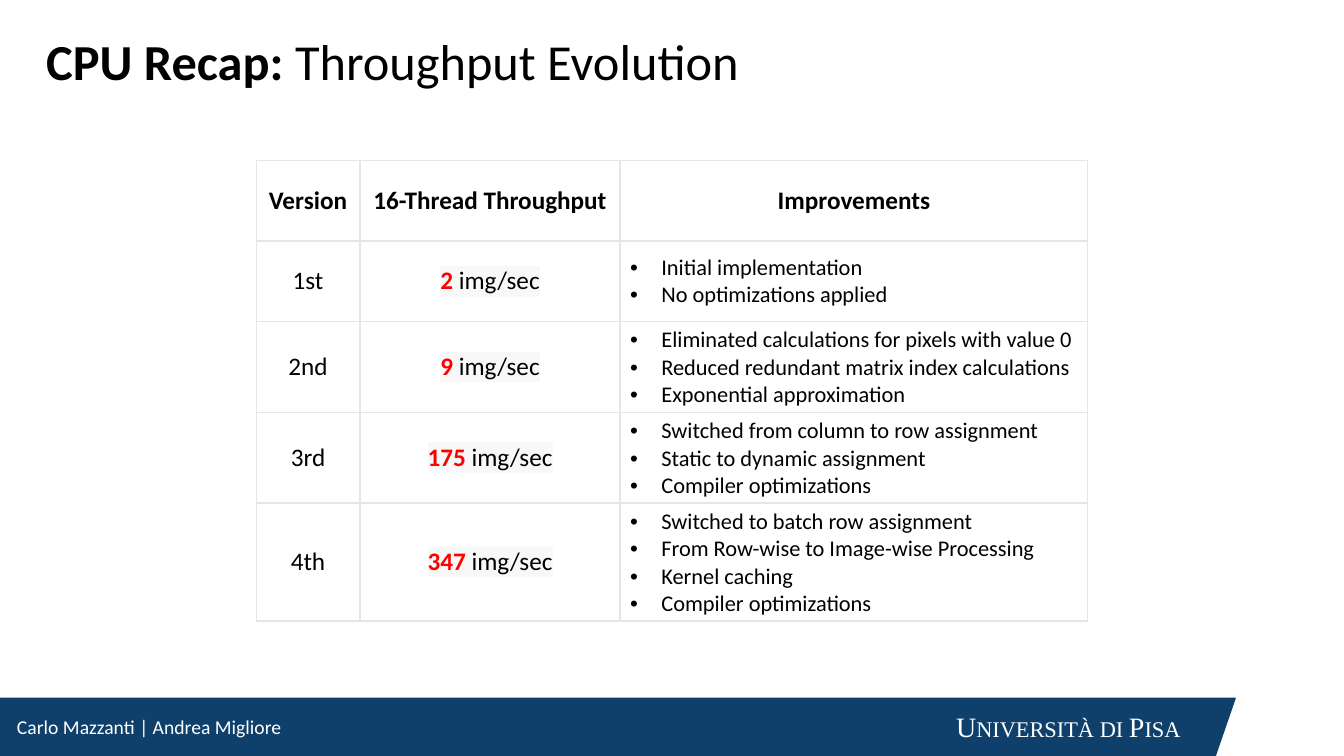
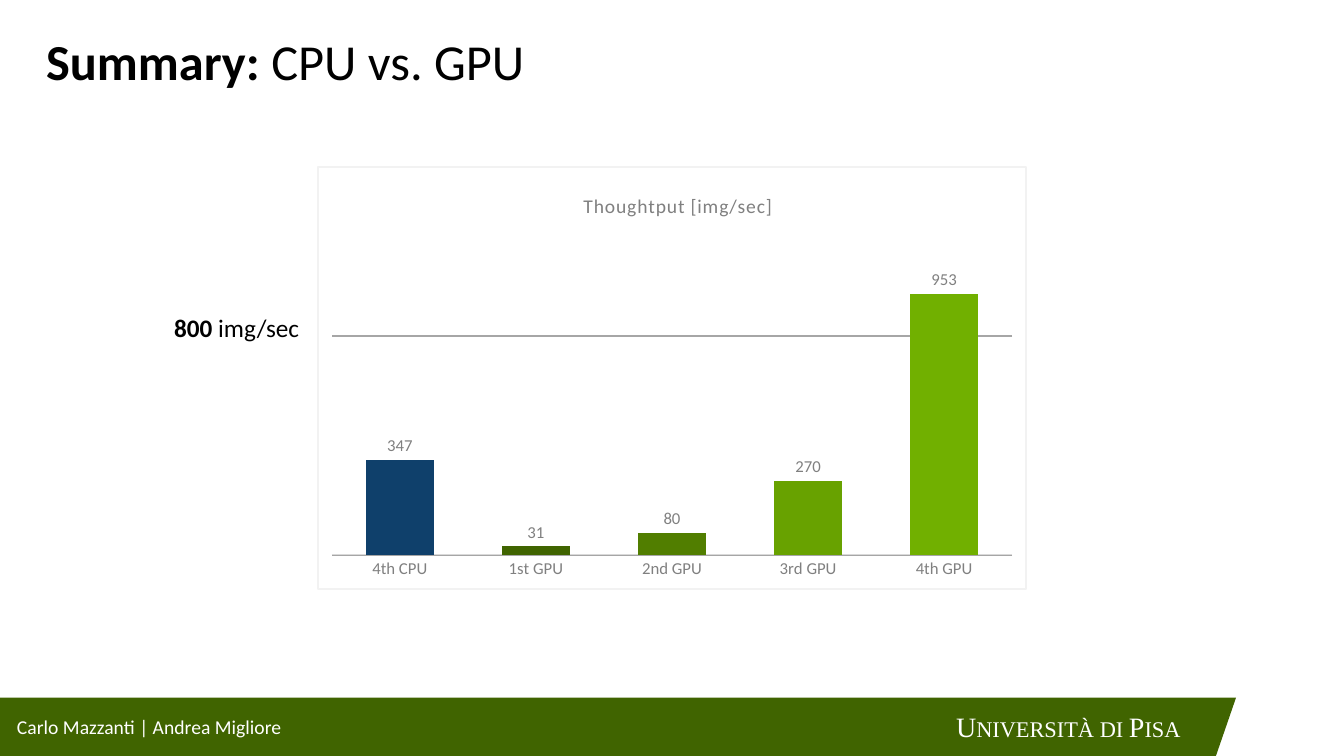
import pptx
import pptx.chart.data
import pptx.dml.color
import pptx.enum.chart
import pptx.enum.text
import pptx.oxml
import pptx.oxml.ns
import pptx.util

Inches, Pt = pptx.util.Inches, pptx.util.Pt
RGBColor = pptx.dml.color.RGBColor
MSO_ANCHOR, PP_ALIGN = pptx.enum.text.MSO_ANCHOR, pptx.enum.text.PP_ALIGN
qn = pptx.oxml.ns.qn

BLACK = RGBColor(0x00, 0x00, 0x00)
WHITE = RGBColor(0xFF, 0xFF, 0xFF)
RED = RGBColor(0xFF, 0x00, 0x00)
BLUE = RGBColor(0x0F, 0x40, 0x6B)
GREEN = RGBColor(0x40, 0x64, 0x00)
GPU_2 = RGBColor(0x51, 0x7E, 0x00)
GPU_3 = RGBColor(0x68, 0xA2, 0x00)
GPU_4 = RGBColor(0x71, 0xB0, 0x00)
GREY = RGBColor(0x80, 0x80, 0x80)
GRID_GREY = RGBColor(0xA6, 0xA6, 0xA6)
AXIS_GREY = RGBColor(0xD9, 0xD9, 0xD9)
CELL_BORDER = RGBColor(0xE7, 0xE6, 0xE6)
CHART_BORDER = RGBColor(0xF2, 0xF2, 0xF2)
HIGHLIGHT = RGBColor(0xF8, 0xF8, 0xF8)

BODY_FONT = "Calibri"
AUTHORS = "Carlo Mazzanti | Andrea Migliore"
UNIVERSITY = "Università di Pisa"
UNIT = "img/sec"

HEADERS = ["Version", "16-Thread Throughput", "Improvements"]
VERSIONS = [
    ("1st", "2", ["Initial implementation", "No optimizations applied"]),
    ("2nd", "9", ["Eliminated calculations for pixels with value 0",
                  "Reduced redundant matrix index calculations",
                  "Exponential approximation"]),
    ("3rd", "175", ["Switched from column to row assignment",
                    "Static to dynamic assignment",
                    "Compiler optimizations"]),
    ("4th", "347", ["Switched to batch row assignment",
                    "From Row-wise to Image-wise Processing",
                    "Kernel caching",
                    "Compiler optimizations"]),
]
COLUMN_WIDTHS = [1.03, 2.58, 4.64]

CHART_TITLE = "Thoughtput [img/sec]"
THROUGHPUTS = [
    ("4th CPU", 347, BLUE),
    ("1st GPU", 31, GREEN),
    ("2nd GPU", 80, GPU_2),
    ("3rd GPU", 270, GPU_3),
    ("4th GPU", 953, GPU_4),
]
TARGET = 800


def xml(tag, body="", attributes=""):
    namespaces = pptx.oxml.ns.nsdecls("a", "c")
    return pptx.oxml.parse_xml(f"<{tag} {namespaces} {attributes}>{body}</{tag}>")


def solid(color):
    return f'<a:solidFill><a:srgbClr val="{color}"/></a:solidFill>'


def set_font(font, size, color, name=BODY_FONT):
    font.size, font.name = Pt(size), name
    font.color.rgb = color


def write(paragraph, runs, size, color=BLACK, align=PP_ALIGN.LEFT, name=BODY_FONT):
    paragraph.alignment = align
    set_font(paragraph.font, size, color, name)
    for text, bold in runs:
        run = paragraph.add_run()
        run.text = text
        run.font.bold = bold
    return paragraph.runs


def add_text(slide, box, runs, size, color=BLACK, wrap=True):
    frame = slide.shapes.add_textbox(*map(Inches, box)).text_frame
    frame.word_wrap = wrap
    write(frame.paragraphs[0], runs, size, color)


def add_footer(slide, color):
    outline = [(12.26, 6.92), (12.06, 7.5), (0, 7.5)]
    builder = slide.shapes.build_freeform(0, Inches(6.92), scale=1.0)
    builder.add_line_segments([(Inches(x), Inches(y)) for x, y in outline], close=True)
    band = builder.convert_to_shape()
    band.shadow.inherit = False
    band.fill.solid()
    band.fill.fore_color.rgb = color
    band.line.fill.background()
    frame = band.text_frame
    frame.word_wrap = True
    frame.vertical_anchor = MSO_ANCHOR.MIDDLE
    frame.margin_right = Inches(0.55)
    university, = write(frame.paragraphs[0], [(UNIVERSITY, False)], 20, WHITE,
                        PP_ALIGN.RIGHT, "Times New Roman")
    university._r.get_or_add_rPr().set("cap", "small")
    add_text(slide, (0.07, 7.04, 8.65, 0.34), [(AUTHORS, False)], 14, WHITE)


def add_slide(deck, topic, subject, color):
    slide = deck.slides.add_slide(deck.slide_layouts[6])
    add_footer(slide, color)
    add_text(slide, (0.36, 0.25, 10, 0.71), [(topic, True), (" " + subject, False)], 36)
    return slide


def style_cell(cell):
    cell.fill.background()
    cell.vertical_anchor = MSO_ANCHOR.MIDDLE
    properties = cell._tc.get_or_add_tcPr()
    for position, side in enumerate("LRTB"):
        border = xml(f"a:ln{side}", solid(CELL_BORDER), f'w="{Pt(1)}"')
        properties.insert(position, border)


def write_throughput(paragraph, value):
    runs = write(paragraph, [(value, True), (" " + UNIT, False)], 18, align=PP_ALIGN.CENTER)
    for run, color in zip(runs, (RED, BLACK)):
        run.font.color.rgb = color
        fill = run._r.rPr.find(qn("a:solidFill"))
        fill.addnext(xml("a:highlight", f'<a:srgbClr val="{HIGHLIGHT}"/>'))


def write_bullets(frame, items):
    for index, item in enumerate(items):
        paragraph = frame.add_paragraph() if index else frame.paragraphs[0]
        write(paragraph, [(item, False)], 16)
        properties = paragraph._p.get_or_add_pPr()
        properties.set("marL", str(Inches(0.31)))
        properties.set("indent", str(Inches(-0.31)))
        properties.insert(0, xml("a:buFont", attributes='typeface="Arial"'))
        properties.insert(1, xml("a:buChar", attributes='char="•"'))


def add_versions_table(slide):
    heights = [0.8] + [max(0.8, 0.09 + 0.27 * len(items)) for _, _, items in VERSIONS]
    table = slide.shapes.add_table(
        len(heights), len(COLUMN_WIDTHS), Inches(2.54), Inches(1.59),
        Inches(sum(COLUMN_WIDTHS)), Inches(sum(heights))).table
    table.first_row = table.horz_banding = False
    for column, width in zip(table.columns, COLUMN_WIDTHS):
        column.width = Inches(width)
    for row, height in zip(table.rows, heights):
        row.height = Inches(height)
    for cell in table.iter_cells():
        style_cell(cell)
    for column, header in enumerate(HEADERS):
        write(table.cell(0, column).text_frame.paragraphs[0], [(header, True)], 18,
              align=PP_ALIGN.CENTER)
    for row, (version, throughput, improvements) in enumerate(VERSIONS, 1):
        frames = [table.cell(row, column).text_frame for column in range(3)]
        write(frames[0].paragraphs[0], [(version, False)], 18, align=PP_ALIGN.CENTER)
        write_throughput(frames[1].paragraphs[0], throughput)
        write_bullets(frames[2], improvements)


def place(owner, position, **fractions):
    for layout in owner.findall(qn("c:layout")):
        owner.remove(layout)
    target = '<c:layoutTarget val="inner"/>' if "w" in fractions else ""
    modes = "".join(f'<c:{key}Mode val="edge"/>' for key in "xy")
    values = "".join(f'<c:{key} val="{value}"/>' for key, value in fractions.items())
    owner.insert(position, xml("c:layout", f"<c:manualLayout>{target}{modes}{values}</c:manualLayout>"))


def add_throughput_chart(slide):
    data = pptx.chart.data.CategoryChartData()
    data.categories = [label for label, _, _ in THROUGHPUTS]
    data.add_series("Series 1", [value for _, value, _ in THROUGHPUTS])
    chart = slide.shapes.add_chart(
        pptx.enum.chart.XL_CHART_TYPE.COLUMN_CLUSTERED,
        Inches(3.14), Inches(1.65), Inches(7.05), Inches(4.2), data).chart
    set_font(chart.font, 10, BLACK)
    chart.has_legend = False

    title = chart.chart_title
    heading, = write(title.text_frame.paragraphs[0], [(CHART_TITLE, False)], 14, GREY,
                     PP_ALIGN.CENTER)
    heading._r.get_or_add_rPr().set("spc", "50")
    place(title._element, 1, x=0.37, y=0.05)

    chart_xml = chart._chartSpace.find(qn("c:chart"))
    place(chart_xml.find(qn("c:plotArea")), 0, x=0.02, y=0.14, w=0.96, h=0.78)
    outline = f'<a:ln w="{Pt(1.5)}">{solid(CHART_BORDER)}</a:ln>'
    chart_xml.addnext(xml("c:spPr", "<a:noFill/>" + outline))

    category_axis, value_axis = chart.category_axis, chart.value_axis
    category_axis.major_tick_mark = pptx.enum.chart.XL_TICK_MARK.NONE
    category_axis.format.line.color.rgb = AXIS_GREY
    category_axis.format.line.width = Pt(0.75)
    set_font(category_axis.tick_labels.font, 12, GREY)
    value_axis.visible = False
    value_axis.minimum_scale, value_axis.maximum_scale = 0, 1200
    value_axis.major_unit = TARGET
    value_axis.has_major_gridlines = True
    value_axis.major_gridlines.format.line.color.rgb = GRID_GREY
    value_axis.major_gridlines.format.line.width = Pt(1.5)

    plot = chart.plots[0]
    plot.vary_by_categories = False
    plot.gap_width, plot.overlap = 100, -24
    plot.has_data_labels = True
    plot.data_labels.show_value = True
    plot.data_labels.position = pptx.enum.chart.XL_LABEL_POSITION.OUTSIDE_END
    set_font(plot.data_labels.font, 12, GREY)
    for index, (_, _, color) in enumerate(THROUGHPUTS):
        fill = plot.series[0].points[index].format.fill
        fill.solid()
        fill.fore_color.rgb = color


def main():
    deck = pptx.Presentation()
    deck.slide_width, deck.slide_height = Inches(13.33), Inches(7.5)

    recap = add_slide(deck, "CPU Recap:", "Throughput Evolution", BLUE)
    add_versions_table(recap)

    summary = add_slide(deck, "Summary:", "CPU vs. GPU", GREEN)
    add_throughput_chart(summary)
    add_text(summary, (1.63, 3.05, 1.46, 0.4), [(f"{TARGET} ", True), (UNIT, False)], 18,
             wrap=False)

    deck.save("out.pptx")


if __name__ == "__main__":
    main()
